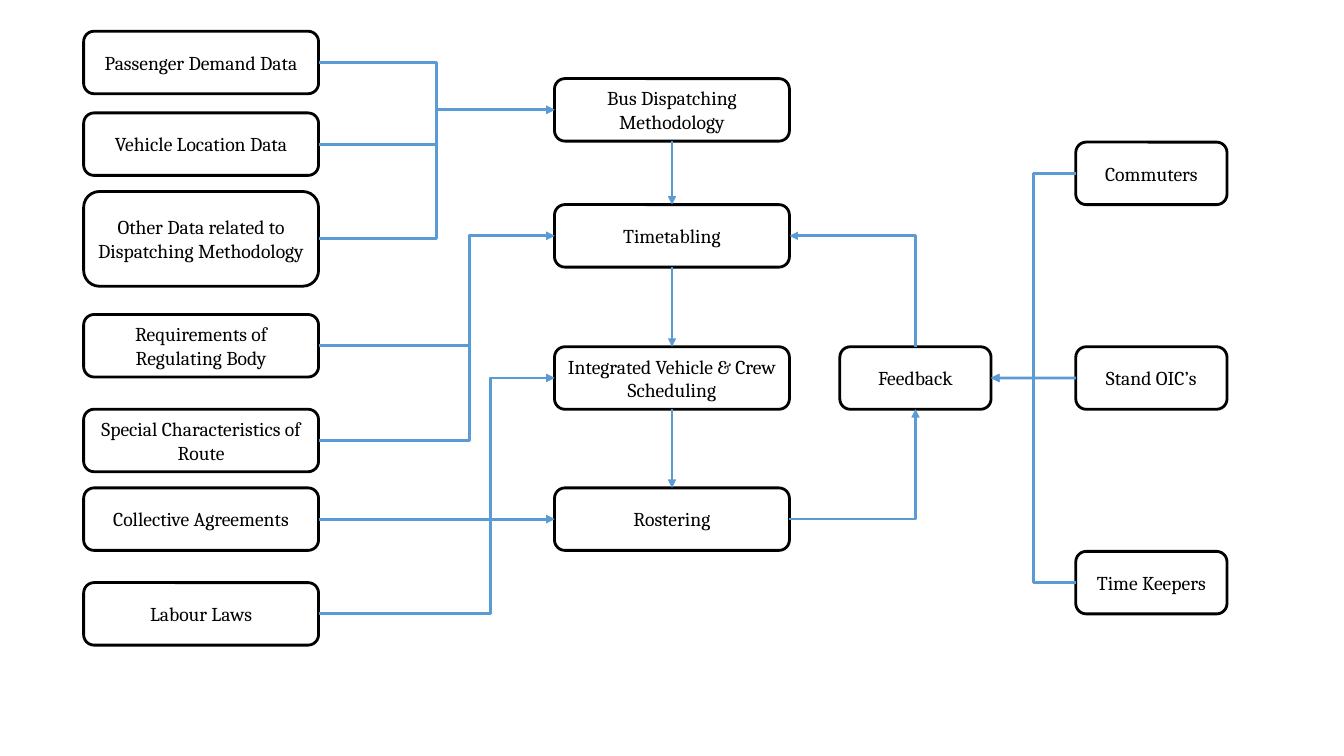
from dataclasses import dataclass

from lxml import etree
from pptx import Presentation
from pptx.dml.color import RGBColor
from pptx.enum.shapes import MSO_CONNECTOR, MSO_SHAPE
from pptx.enum.text import MSO_ANCHOR, PP_ALIGN
from pptx.oxml.ns import qn
from pptx.util import Inches, Pt

ROUNDED = MSO_SHAPE.ROUNDED_RECTANGLE
STRAIGHT, ELBOW = MSO_CONNECTOR.STRAIGHT, MSO_CONNECTOR.ELBOW
CENTER, MIDDLE = PP_ALIGN.CENTER, MSO_ANCHOR.MIDDLE
TOP, LEFT, BOTTOM, RIGHT = range(4)
BLANK_LAYOUT = 6


@dataclass(frozen=True)
class Theme:
    """Colours, type and line weights of the flowchart."""
    ink: RGBColor = RGBColor(0x00, 0x00, 0x00)
    arrow: RGBColor = RGBColor(0x5B, 0x9B, 0xD5)
    font: str = "Cambria"
    text_size: int = Pt(14)
    line_width: int = Pt(2)


THEME = Theme()
BOX_HEIGHT = 0.62
TALL_HEIGHT = 0.94
WIDE, NARROW = 2.33, 1.5
INPUT_LEFT, PROCESS_LEFT, FEEDBACK_LEFT, PEOPLE_LEFT = 0.83, 5.5, 8.33, 10.67
PEOPLE_TOP, PEOPLE_PITCH = 1.41, 2.03

INPUTS = {
    "Passenger Demand Data": 0.31,
    "Vehicle Location Data": 1.12,
    "Other Data related to Dispatching Methodology": 1.9,
    "Requirements of Regulating Body": 3.12,
    "Special Characteristics of Route": 4.06,
    "Collective Agreements": 4.84,
    "Labour Laws": 5.78,
}
PROCESSES = {
    "Bus Dispatching Methodology": 0.78,
    "Timetabling": 2.03,
    "Integrated Vehicle & Crew Scheduling": 3.44,
    "Rostering": 4.84,
}
PEOPLE = ("Commuters", "Stand OIC’s", "Time Keepers")


def apply_format(target, values):
    """Set every attribute named in values on target."""
    for name, value in values.items():
        setattr(target, name, value)


def add_box(slide, text, left, top, width, height=BOX_HEIGHT):
    """Add an outlined rounded box with centred text."""
    shape = slide.shapes.add_shape(
        ROUNDED, Inches(left), Inches(top), Inches(width), Inches(height))
    shape.shadow.inherit = False
    shape.fill.background()
    shape.line.color.rgb = THEME.ink
    shape.line.width = THEME.line_width
    apply_format(shape.text_frame, {"word_wrap": True, "vertical_anchor": MIDDLE})
    paragraph = shape.text_frame.paragraphs[0]
    paragraph.alignment = CENTER
    run = paragraph.add_run()
    run.text = text
    apply_format(run.font, {"name": THEME.font, "size": THEME.text_size})
    run.font.color.rgb = THEME.ink
    return shape


def add_arrow(slide, source, source_side, target, target_side, kind=STRAIGHT):
    """Join two boxes with an arrow that points at the target."""
    connector = slide.shapes.add_connector(kind, 0, 0, 0, 0)
    connector.begin_connect(source, source_side)
    connector.end_connect(target, target_side)
    connector.line.color.rgb = THEME.arrow
    connector.line.width = THEME.line_width
    properties = connector.element.spPr
    etree.SubElement(properties.find(qn("a:ln")), qn("a:tailEnd"), type="triangle")
    etree.SubElement(properties, qn("a:effectLst"))
    return connector


def add_bent_arrow(slide, source, source_side, target, target_side, bend=0.5):
    """Add an elbow arrow whose middle leg lies at the given share of its width."""
    connector = add_arrow(slide, source, source_side, target, target_side, ELBOW)
    guides = connector.element.spPr.find(qn("a:prstGeom")).get_or_add_avLst()
    etree.SubElement(guides, qn("a:gd"), name="adj1", fmla=f"val {round(bend * 100000)}")


def add_corner_arrow(slide, source, source_side, target, target_side):
    """Add an arrow with one corner, turned when it leaves upwards to the left."""
    connector = add_arrow(slide, source, source_side, target, target_side, ELBOW)
    properties = connector.element.spPr
    properties.find(qn("a:prstGeom")).set("prst", "bentConnector2")
    if source_side == TOP:
        width, height = connector.width, connector.height
        apply_format(connector, {
            "left": connector.left + (width - height) // 2,
            "top": connector.top + (height - width) // 2,
            "width": height,
            "height": width,
        })
        apply_format(properties.find(qn("a:xfrm")), {"flipH": False, "flipV": True})
        properties.find(qn("a:xfrm")).set("rot", str(270 * 60000))


def main():
    """Build the bus scheduling flowchart."""
    presentation = Presentation()
    apply_format(presentation, {"slide_width": Inches(13.33), "slide_height": Inches(7.5)})
    slide = presentation.slides.add_slide(presentation.slide_layouts[BLANK_LAYOUT])

    inputs = [
        add_box(slide, text, INPUT_LEFT, top, WIDE,
                TALL_HEIGHT if text.startswith("Other") else BOX_HEIGHT)
        for text, top in INPUTS.items()
    ]
    processes = [add_box(slide, text, PROCESS_LEFT, top, WIDE)
                 for text, top in PROCESSES.items()]
    people = [add_box(slide, text, PEOPLE_LEFT, PEOPLE_TOP + index * PEOPLE_PITCH, NARROW)
              for index, text in enumerate(PEOPLE)]
    feedback = add_box(slide, "Feedback", FEEDBACK_LEFT, 3.44, NARROW)
    dispatching, timetabling, scheduling, rostering = processes
    commuters, stand_officers, time_keepers = people
    agreements, labour_laws = inputs[5:]

    for upper, lower in zip(processes, processes[1:]):
        add_arrow(slide, upper, BOTTOM, lower, TOP)
    for sources, target, bend in (
        (inputs[:3], dispatching, 0.5),
        (inputs[3:5], timetabling, 0.64),
        (inputs[5:], scheduling, 0.73),
        ([labour_laws], rostering, 0.73),
    ):
        for source in sources:
            add_bent_arrow(slide, source, RIGHT, target, LEFT, bend)
    add_arrow(slide, agreements, RIGHT, rostering, LEFT)

    for person in (commuters, time_keepers):
        add_bent_arrow(slide, person, LEFT, feedback, RIGHT)
    add_arrow(slide, stand_officers, LEFT, feedback, RIGHT)
    add_corner_arrow(slide, rostering, RIGHT, feedback, BOTTOM)
    add_corner_arrow(slide, feedback, TOP, timetabling, RIGHT)
    presentation.save("out.pptx")


main()
